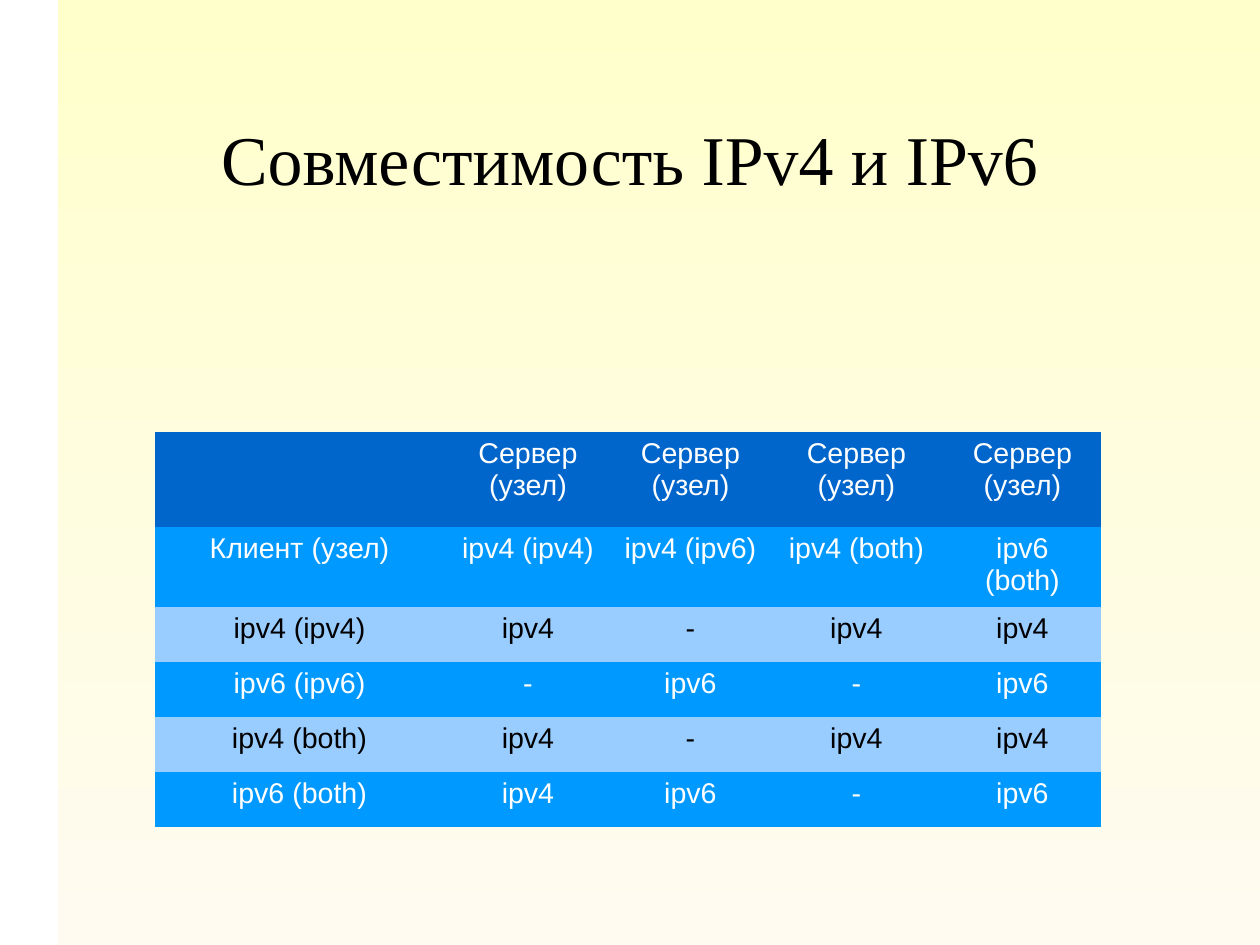
from pptx import Presentation
from pptx.dml.color import RGBColor
from pptx.enum.shapes import MSO_SHAPE as Shape
from pptx.enum.text import MSO_ANCHOR as Anchor, PP_ALIGN as Align
from pptx.oxml.ns import qn
from pptx.util import Pt

PX = 8000  # EMU in one px
PAGE_W, PAGE_H = 1260, 945
BLANK_LAYOUT = 6
NO_STYLE_NO_GRID = "{2D5ABB26-0587-4C30-8999-92F81FD0307C}"

HEADER = "0066CC"
DARK_BAND, LIGHT_BAND = "0099FF", "99CCFF"
WHITE, BLACK = "FFFFFF", "000000"

COLUMN_WIDTHS = [289, 168, 157, 175, 157]
ROW_HEIGHTS = [95, 80] + [55] * 4
COMPATIBILITY = [
    [""] + ["Сервер (узел)"] * 4,
    ["Клиент (узел)", "ipv4 (ipv4)", "ipv4 (ipv6)", "ipv4 (both)", "ipv6 (both)"],
    ["ipv4 (ipv4)", "ipv4", "-", "ipv4", "ipv4"],
    ["ipv6 (ipv6)", "-", "ipv6", "-", "ipv6"],
    ["ipv4 (both)", "ipv4", "-", "ipv4", "ipv4"],
    ["ipv6 (both)", "ipv4", "ipv6", "-", "ipv6"],
]


def color(value):
    return RGBColor.from_string(value)


def emu(box):
    return [length * PX for length in box]


def set_all(target, values):
    for name, value in values.items():
        setattr(target, name, value)


def write(frame, text, font, size, ink):
    para = frame.paragraphs[0]
    para.alignment = Align.CENTER
    span = para.add_run()
    span.text = text
    set_all(span.font, {"name": font, "size": Pt(size), "bold": False})
    span.font.color.rgb = color(ink)


def add_backdrop(page, box):
    panel = page.shapes.add_shape(Shape.RECTANGLE, *emu(box))
    panel.shadow.inherit = False
    panel.line.fill.background()
    panel.fill.gradient()
    panel.fill.gradient_angle = 90  # runs from bottom to top
    for stop, shade in zip(panel.fill.gradient_stops, ["FFFBF0", "FFFFCC"]):
        stop.color.rgb = color(shade)


def add_title(page, box, text):
    frame = page.shapes.add_textbox(*emu(box)).text_frame
    margins = dict.fromkeys(
        ["margin_left", "margin_top", "margin_right", "margin_bottom"], 0)
    set_all(frame, {"word_wrap": True, "vertical_anchor": Anchor.MIDDLE, **margins})
    write(frame, text, "Times New Roman", 44, BLACK)


def row_colors(row):
    """Fill and ink: a header, then dark and light bands in turn."""
    if row == 0:
        return HEADER, WHITE
    return (DARK_BAND, WHITE) if row % 2 else (LIGHT_BAND, BLACK)


def add_compatibility_table(page, left, top):
    box = left, top, sum(COLUMN_WIDTHS), sum(ROW_HEIGHTS)
    table = page.shapes.add_table(
        len(ROW_HEIGHTS), len(COLUMN_WIDTHS), *emu(box)).table
    set_all(table, {"first_row": False, "horz_banding": False})
    table._tbl.tblPr.find(qn("a:tableStyleId")).text = NO_STYLE_NO_GRID

    for column, width in zip(table.columns, COLUMN_WIDTHS):
        column.width = width * PX
    for row, height in zip(table.rows, ROW_HEIGHTS):
        row.height = height * PX

    # Cells
    for r, texts in enumerate(COMPATIBILITY):
        fill, ink = row_colors(r)
        for c, text in enumerate(texts):
            cell = table.cell(r, c)
            cell.fill.solid()
            cell.fill.fore_color.rgb = color(fill)
            if text:
                write(cell.text_frame, text, "Arial", 18, ink)


def main():
    deck = Presentation()
    set_all(deck, {"slide_width": PAGE_W * PX, "slide_height": PAGE_H * PX})
    page = deck.slides.add_slide(deck.slide_layouts[BLANK_LAYOUT])
    add_backdrop(page, (58, 0, PAGE_W - 58, PAGE_H))
    add_title(page, (92, 79, 1076, 158), "Совместимость IPv4 и IPv6")
    add_compatibility_table(page, 155, 432)
    deck.save("out.pptx")


if __name__ == "__main__":
    main()
